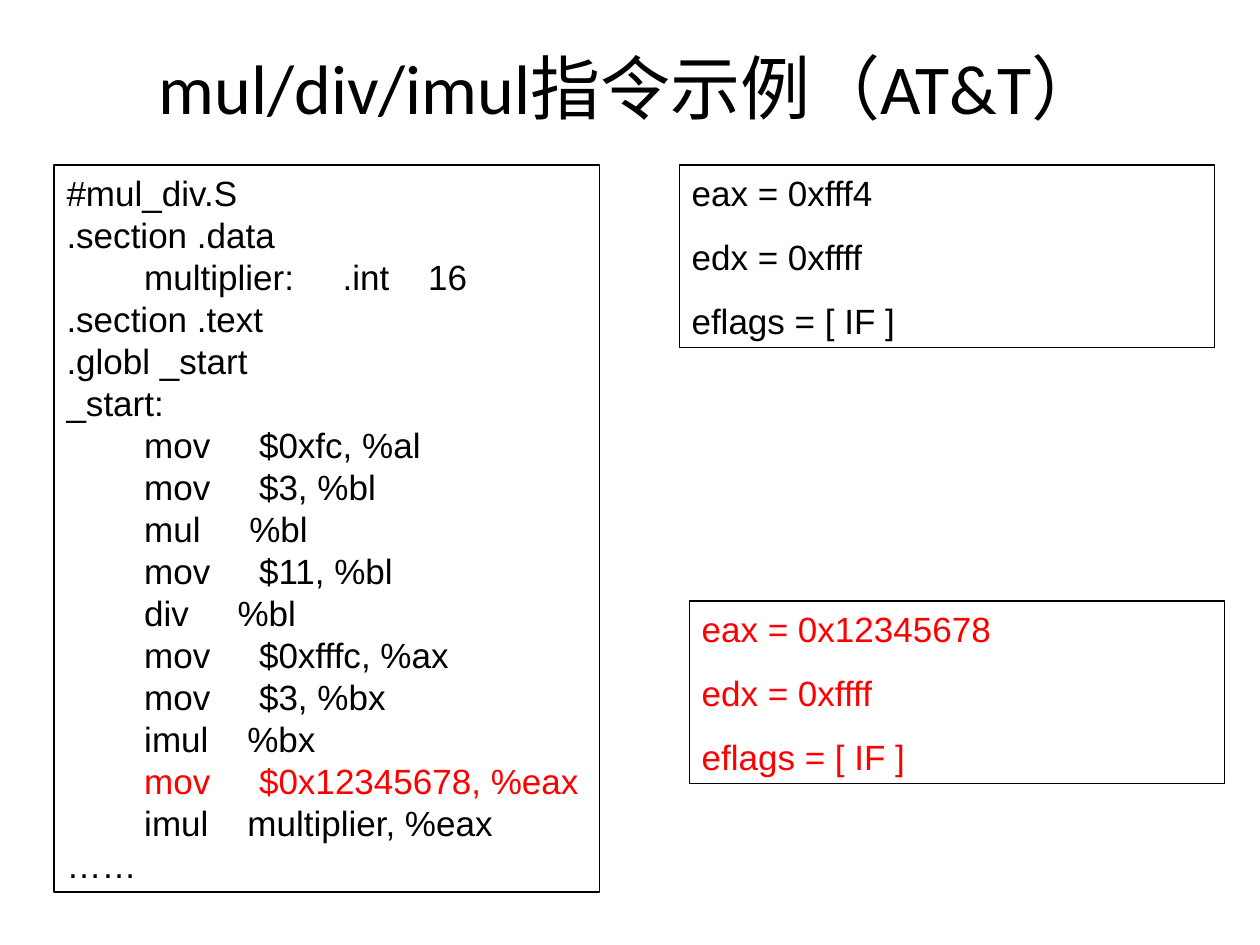
from pptx import Presentation
from pptx.dml.color import RGBColor
from pptx.enum.shapes import MSO_SHAPE
from pptx.enum.text import MSO_ANCHOR, PP_ALIGN
from pptx.util import Inches, Pt

RECTANGLE = MSO_SHAPE.RECTANGLE
TOP, MIDDLE = MSO_ANCHOR.TOP, MSO_ANCHOR.MIDDLE
LEFT, CENTER = PP_ALIGN.LEFT, PP_ALIGN.CENTER

# Content
TITLE = "mul/div/imul指令示例（AT&T）"
CODE = [
    "#mul_div.S",
    ".section .data",
    "        multiplier:     .int    16",
    ".section .text",
    ".globl _start",
    "_start:",
    "        mov     $0xfc, %al",
    "        mov     $3, %bl",
    "        mul     %bl",
    "        mov     $11, %bl",
    "        div     %bl",
    "        mov     $0xfffc, %ax",
    "        mov     $3, %bx",
    "        imul    %bx",
    "        mov     $0x12345678, %eax",
    "        imul    multiplier, %eax",
    "……",
]
CURRENT_LINE = "        mov     $0x12345678, %eax"
BEFORE = ["eax = 0xfff4", "edx = 0xffff", "eflags = [ IF ]"]
AFTER = ["eax = 0x12345678", "edx = 0xffff", "eflags = [ IF ]"]

COLORS = {"text": "000000", "current": "FF0000", "border": "000000"}

# Layout in inches
WIDTH, HEIGHT = 10, 7.5
MARGIN = 0.05 * WIDTH
TOP_ROW = 1.31
REGISTERS_SIZE = (4.25, 1.45)
PANELS = [  # lines, colour, left, top, width, height, space before
    (CODE, "text", 0.43, TOP_ROW, 4.33, 5.77, 0),
    (BEFORE, "text", 5.39, TOP_ROW, *REGISTERS_SIZE, 12.5),
    (AFTER, "current", 5.47, 4.77, *REGISTERS_SIZE, 12.5),
]


def rgb(name):
    return RGBColor.from_string(COLORS[name])


def write(frame, lines, font, size, color, align, anchor, gap=0):
    frame.word_wrap = True
    frame.vertical_anchor = anchor
    for i, line in enumerate(lines):
        paragraph = frame.paragraphs[0] if i == 0 else frame.add_paragraph()
        paragraph.text = line
        paragraph.alignment = align
        if i and gap:
            paragraph.space_before = Pt(gap)
        paragraph.font.name = font
        paragraph.font.size = Pt(size)
        paragraph.font.color.rgb = rgb("current" if line == CURRENT_LINE else color)


def add_panel(slide, lines, color, left, top, width, height, gap):
    panel = slide.shapes.add_shape(
        RECTANGLE, Inches(left), Inches(top), Inches(width), Inches(height))
    panel.shadow.inherit = False
    panel.fill.background()
    panel.line.color.rgb = rgb("border")
    panel.line.width = Pt(0.75)
    write(panel.text_frame, lines, "Arial", 20, color, LEFT, TOP, gap)


def main():
    deck = Presentation()
    deck.slide_width, deck.slide_height = Inches(WIDTH), Inches(HEIGHT)
    slide = deck.slides.add_slide(deck.slide_layouts[6])

    # Title
    heading = slide.shapes.add_textbox(
        Inches(MARGIN), Inches(0.3), Inches(WIDTH - 2 * MARGIN), Inches(0.77))
    write(heading.text_frame, [TITLE], "Calibri", 40, "text", CENTER, MIDDLE)

    # Code listing and register states
    for panel in PANELS:
        add_panel(slide, *panel)

    deck.save("out.pptx")


if __name__ == "__main__":
    main()
